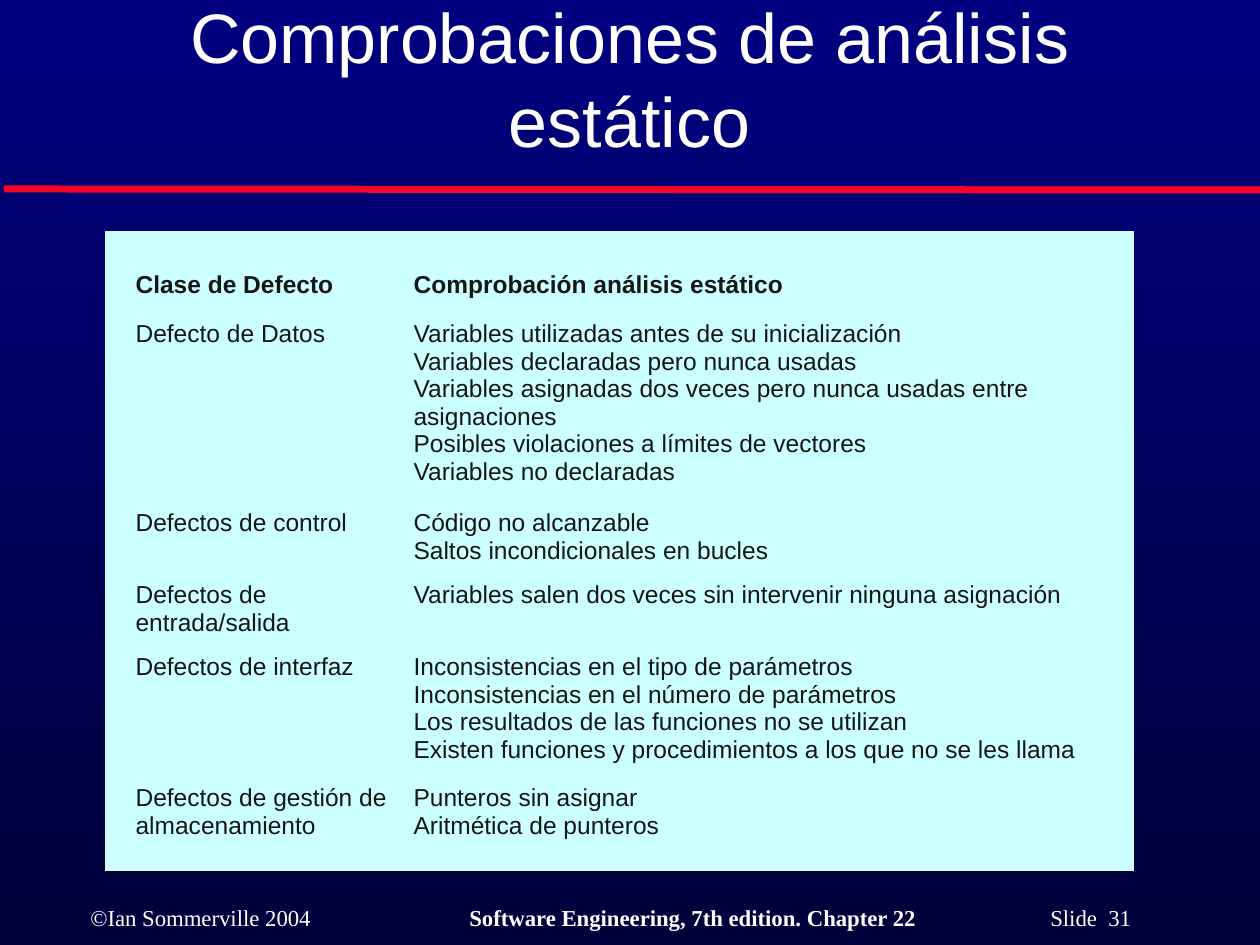
from lxml import etree
from pptx import Presentation
from pptx.dml.color import RGBColor
from pptx.enum.shapes import MSO_CONNECTOR, MSO_SHAPE
from pptx.enum.text import MSO_ANCHOR, PP_ALIGN
from pptx.oxml.ns import qn
from pptx.util import Emu, Pt

PX = 914400 // 126
LINE, RECT = MSO_CONNECTOR.STRAIGHT, MSO_SHAPE.RECTANGLE
BOTTOM, TOP = MSO_ANCHOR.BOTTOM, MSO_ANCHOR.TOP
CENTER, LEFT = PP_ALIGN.CENTER, PP_ALIGN.LEFT
NO_STYLE = "{2D5ABB26-0587-4C30-8999-92F81FD0307C}"
WHITE, INK, RED, PANEL = "FFFFFF", "161616", "FC0128", "CCFFFF"

COLUMN_WIDTHS = (278, 704)
ROW_HEIGHTS = (49, 189, 72, 72, 131, 72)
DEFECTS = (
    ("Clase de Defecto", ["Comprobación análisis estático"]),
    ("Defecto de Datos", [
        "Variables utilizadas antes de su inicialización\n"
        "Variables declaradas pero nunca usadas",
        "Variables asignadas dos veces pero nunca usadas entre asignaciones",
        "Posibles violaciones a límites de vectores",
        "Variables no declaradas"]),
    ("Defectos de control", [
        "Código no alcanzable",
        "Saltos incondicionales en bucles"]),
    ("Defectos de entrada/salida", [
        "Variables salen dos veces sin intervenir ninguna asignación"]),
    ("Defectos de interfaz", [
        "Inconsistencias en el tipo de parámetros",
        "Inconsistencias en el número de parámetros",
        "Los resultados de las funciones no se utilizan",
        "Existen funciones y procedimientos a los que no se les llama"]),
    ("Defectos de gestión de almacenamiento", [
        "Punteros sin asignar",
        "Aritmética de punteros"]),
)


def px(*values):
    """Turn pixels into a list of EMU lengths."""
    return [Emu(v * PX) for v in values]


def rgb(value):
    """Return the colour of a hex string."""
    return RGBColor.from_string(value)


def add_run(p, text, size, color, font="Arial", bold=False):
    """Append a formatted run, with line breaks at newlines."""
    for i, line in enumerate(text.split("\n")):
        if i:
            p.add_line_break()
        r = p.add_run()
        r.text = line
        r.font.name, r.font.size, r.font.bold = font, Pt(size), bold
        r.font.color.rgb = rgb(color)


def add_text_box(s, box, anchor=TOP, align=LEFT):
    """Add a wrapping text box and return its first paragraph."""
    tf = s.shapes.add_textbox(*px(*box)).text_frame
    tf.word_wrap = True
    tf.vertical_anchor = anchor
    p = tf.paragraphs[0]
    p.alignment = align
    return p


def set_tabs(p, *stops):
    """Set left tab stops in pixels."""
    tabs = etree.SubElement(p._p.get_or_add_pPr(), qn("a:tabLst"))
    for stop in px(*stops):
        etree.SubElement(tabs, qn("a:tab"), pos=str(int(stop)), algn="l")


def set_background(s, top, bottom):
    """Fill the slide with a vertical gradient."""
    fill = s.background.fill
    fill.gradient()
    fill.gradient_angle = 270
    for stop, color, position in zip(fill.gradient_stops, (top, bottom), (0, 1)):
        stop.color.rgb = rgb(color)
        stop.position = position


def add_rule(s, ends, color, width):
    """Add a straight line without a shadow."""
    line = s.shapes.add_connector(LINE, *px(*ends))
    line.line.color.rgb = rgb(color)
    line.line.width = Pt(width)
    etree.SubElement(line._element.spPr, qn("a:effectLst"))


def add_panel(s, box, color):
    """Add a plain filled rectangle."""
    sp = s.shapes.add_shape(RECT, *px(*box))
    sp.shadow.inherit = False
    sp.fill.solid()
    sp.fill.fore_color.rgb = rgb(color)
    sp.line.fill.background()


def fill_cell(cell, paragraphs, bold):
    """Write one paragraph per text into a clear cell."""
    cell.fill.background()
    tf = cell.text_frame
    for i, text in enumerate(paragraphs):
        p = tf.add_paragraph() if i else tf.paragraphs[0]
        add_run(p, text, 14, INK, bold=bold)


def add_defect_table(s, left, top):
    """Add the table of defect classes and their checks."""
    size = px(left, top, sum(COLUMN_WIDTHS), sum(ROW_HEIGHTS))
    table = s.shapes.add_table(len(DEFECTS), len(COLUMN_WIDTHS), *size).table
    table.first_row = table.horz_banding = False
    table._tbl.tblPr.find(qn("a:tableStyleId")).text = NO_STYLE
    for column, width in zip(table.columns, px(*COLUMN_WIDTHS)):
        column.width = width
    for row, height in zip(table.rows, px(*ROW_HEIGHTS)):
        row.height = height
    for i, (defect, checks) in enumerate(DEFECTS):
        fill_cell(table.cell(i, 0), [defect], i == 0)
        fill_cell(table.cell(i, 1), checks, i == 0)


def add_footer(s):
    """Add the credit, book title and slide number."""
    p = add_text_box(s, (78, 898, 1124, 40))
    set_tabs(p, 379, 960)
    for text, bold in (("©Ian Sommerville 2004\t", False),
                       ("Software Engineering, 7th edition. Chapter 22", True),
                       ("\tSlide  31", False)):
        add_run(p, text, 13, WHITE, "Times New Roman", bold)


def main():
    """Build the slide and save it."""
    prs = Presentation()
    prs.slide_width, prs.slide_height = px(1260, 945)
    s = prs.slides.add_slide(prs.slide_layouts[6])
    set_background(s, "000080", "00003B")
    add_rule(s, (4, 189, 1260, 190), RED, 4)
    add_footer(s)
    title = add_text_box(s, (92, 42, 1075, 126), BOTTOM, CENTER)
    add_run(title, "Comprobaciones de análisis estático", 40, WHITE)
    add_panel(s, (105, 231, 1029, 640), PANEL)
    add_defect_table(s, 123, 265)
    prs.save("out.pptx")


main()
